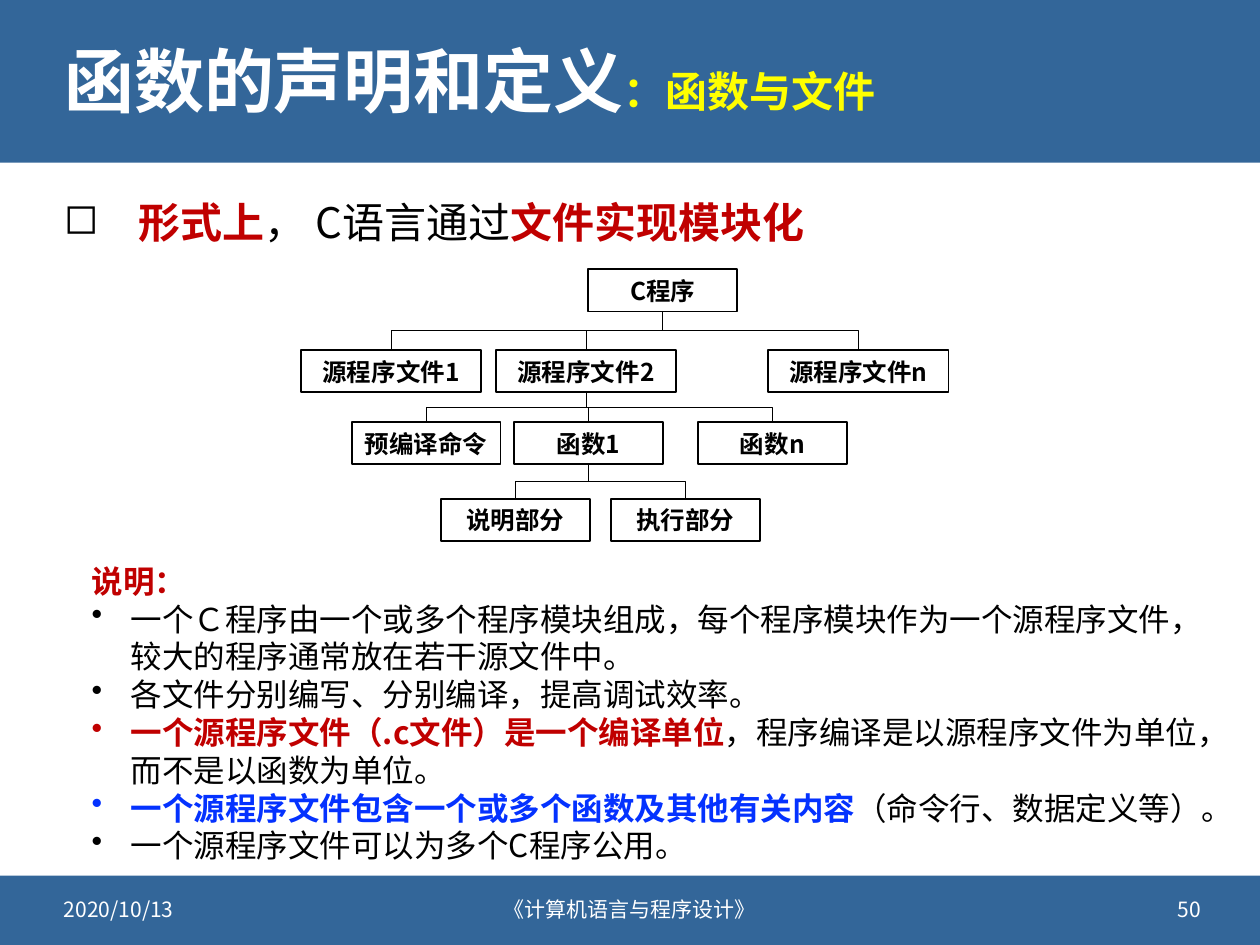
from lxml import etree
from pptx import Presentation
from pptx.dml.color import RGBColor
from pptx.enum.shapes import MSO_CONNECTOR, MSO_SHAPE
from pptx.enum.text import MSO_ANCHOR, MSO_AUTO_SIZE, PP_ALIGN
from pptx.oxml.ns import qn
from pptx.util import Cm, Pt

FONT = "Noto Sans CJK SC"
BLUE, WHITE, BLACK, RED = "336699", "FFFFFF", "000000", "C00000"
YELLOW, BRIGHT = "FFFF00", "0432FF"

# Spans are (text, colour, bold)
TITLE = [("函数的声明和定义", WHITE, True), ("：函数与文件", YELLOW, True)]
LEAD = [("形式上", RED, True), ("， C语言通过", BLACK, False),
        ("文件实现模块化", RED, True)]
NOTES = [
    [("说明：", RED, True)],
    [("一个Ｃ程序由一个或多个程序模块组成，每个程序模块作为一个源程序文件，"
      "较大的程序通常放在若干源文件中。", BLACK, False)],
    [("各文件分别编写、分别编译，提高调试效率。", BLACK, False)],
    [("一个源程序文件（.c文件）是一个编译单位", RED, True),
     ("，程序编译是以源程序文件为单位，而不是以函数为单位。", BLACK, False)],
    [("一个源程序文件包含一个或多个函数及其他有关内容", BRIGHT, True),
     ("（命令行、数据定义等）。", BLACK, False)],
    [("一个源程序文件可以为多个C程序公用。", BLACK, False)],
]
BARS = [(0, 3.28), (17.65, 1.4)]  # top, height
FOOTER = [  # text, left, width, alignment
    ("2020/10/13", 1.04, 6.1, PP_ALIGN.LEFT),
    ("《计算机语言与程序设计》", 8.13, 9.14, PP_ALIGN.CENTER),
    ("50", 18.36, 6.1, PP_ALIGN.RIGHT),
]
# Tree levels: top, box width, parent, [(label, left)]
LEVELS = [
    (5.43, 3, None, [("C程序", 11.86)]),
    (7.06, 3.63, "C程序",
     [("源程序文件1", 6.07), ("源程序文件2", 10), ("源程序文件n", 15.49)]),
    (8.51, 3, "源程序文件2",
     [("预编译命令", 7.09), ("函数1", 10.36), ("函数n", 14.07)]),
    (10.06, 3, "函数1", [("说明部分", 8.89), ("执行部分", 12.32)]),
]
BOX_HEIGHT = 0.85


def colour(value):
    return RGBColor.from_string(value)


def write(para, spans, size, align=PP_ALIGN.LEFT):
    para.alignment = align
    for text, shade, bold in spans:
        span = para.add_run()
        span.text = text
        font = span.font
        font.name, font.size, font.bold = FONT, Pt(size), bold
        font.color.rgb = colour(shade)
        east = etree.SubElement(font._element, qn("a:ea"))
        east.set("typeface", FONT)


def add_bullet(para, mark, indent, shade=None):
    props = para._p.get_or_add_pPr()
    props.set("marL", str(Cm(indent)))
    props.set("indent", str(-Cm(indent)))
    if shade:
        fill = etree.SubElement(props, qn("a:buClr"))
        etree.SubElement(fill, qn("a:srgbClr")).set("val", shade)
    etree.SubElement(props, qn("a:buChar")).set("char", mark)


def add_text_frame(left, top, width, height, anchor=MSO_ANCHOR.TOP):
    frame = slide.shapes.add_textbox(
        Cm(left), Cm(top), Cm(width), Cm(height)).text_frame
    frame.word_wrap = True
    frame.vertical_anchor = anchor
    return frame


def add_rectangle(left, top, width, height, fill):
    box = slide.shapes.add_shape(
        MSO_SHAPE.RECTANGLE, Cm(left), Cm(top), Cm(width), Cm(height))
    box.shadow.inherit = False
    box.fill.solid()
    box.fill.fore_color.rgb = colour(fill)
    box.line.fill.background()
    return box


def add_node(label, left, top, width):
    box = add_rectangle(left, top, width, BOX_HEIGHT, WHITE)
    box.line.color.rgb = colour(BLACK)
    box.line.width = Pt(1)
    frame = box.text_frame
    frame.word_wrap = False
    frame.vertical_anchor = MSO_ANCHOR.MIDDLE
    write(frame.paragraphs[0], [(label, BLACK, True)], 14, PP_ALIGN.CENTER)
    return box


def add_branch(parent, child):
    """Join bottom of parent to top of child by an elbow that leaves vertically."""
    branch = slide.shapes.add_connector(MSO_CONNECTOR.ELBOW, 0, 0, 0, 0)
    branch.begin_connect(parent, 2)
    branch.end_connect(child, 0)
    branch.line.color.rgb = colour(BLACK)
    branch.line.width = Pt(0.5)
    start, end = parent.left + parent.width // 2, child.left + child.width // 2
    upper, lower = parent.top + parent.height, child.top
    drop, run = lower - upper, abs(end - start)
    # The elbow is turned a quarter, so its box is drop wide and run high
    branch.left, branch.top = (start + end - drop) // 2, (upper + lower - run) // 2
    branch.width, branch.height = drop, run
    rightward = end > start
    props = branch._element.spPr
    frame = props.find(qn("a:xfrm"))
    frame.set("rot", "16200000" if rightward else "5400000")
    frame.set("flipH", "1" if rightward else "0")
    frame.set("flipV", "0")
    etree.SubElement(props, qn("a:effectLst"))


deck = Presentation()
deck.slide_width, deck.slide_height = Cm(25.4), Cm(19.05)
slide = deck.slides.add_slide(deck.slide_layouts[5])

for top, height in BARS:
    bar = add_rectangle(0, top, 25.4, height, BLUE)
    slide.shapes._spTree.insert(2, bar._element)  # behind the title

title = slide.shapes.title
title.left, title.top, title.width, title.height = Cm(1.04), Cm(0.46), Cm(23.34), Cm(2.51)
title.text_frame.auto_size = MSO_AUTO_SIZE.NONE
title.text_frame.vertical_anchor = MSO_ANCHOR.MIDDLE
heading = title.text_frame.paragraphs[0]
heading.line_spacing = 0.9
for part, size in zip(TITLE, (40, 24)):
    write(heading, [part], size)

lead = add_text_frame(1.04, 3.73, 23.34, 1.6).paragraphs[0]
add_bullet(lead, "◻", 1.5, BLACK)
lead.line_spacing = 1.1
write(lead, LEAD, 24)

for text, left, width, align in FOOTER:
    frame = add_text_frame(left, 17.81, width, 1.02, MSO_ANCHOR.MIDDLE)
    write(frame.paragraphs[0], [(text, WHITE, False)], 12, align)

notes = add_text_frame(1.6, 11.2, 22.99, 6.4)
notes.auto_size = MSO_AUTO_SIZE.SHAPE_TO_FIT_TEXT
for index, spans in enumerate(NOTES):
    para = notes.add_paragraph() if index else notes.paragraphs[0]
    if index:
        add_bullet(para, "•", 0.79)
    write(para, spans, 18)

nodes = {}
for top, width, parent, children in LEVELS:
    for label, left in children:
        nodes[label] = add_node(label, left, top, width)
        if parent:
            add_branch(nodes[parent], nodes[label])

deck.save("out.pptx")
